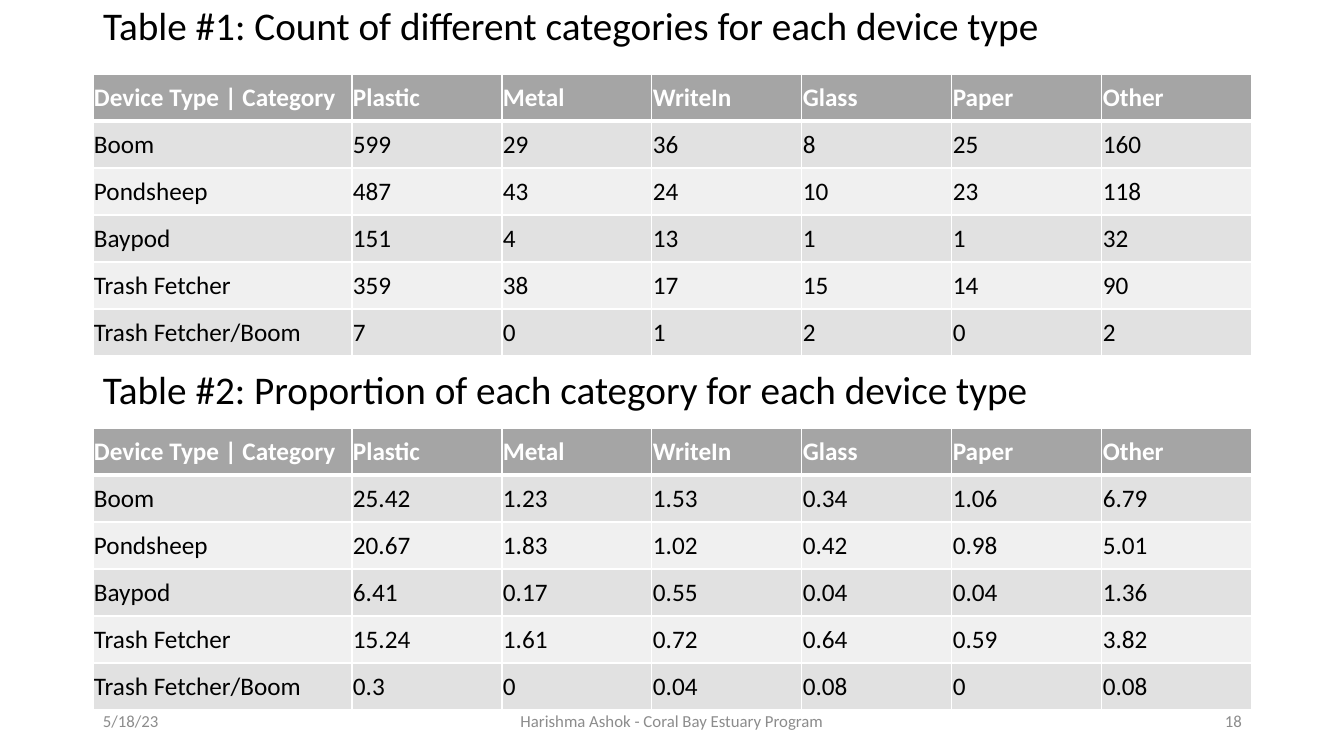
import pptx
import pptx.dml.color
import pptx.enum.text
import pptx.oxml
import pptx.oxml.ns
import pptx.util

SIZE = (1344, 756)
HEADS = ["Device Type | Category", "Plastic", "Metal", "WriteIn", "Glass", "Paper", "Other"]
KINDS = ["Boom", "Pondsheep", "Baypod", "Trash Fetcher", "Trash Fetcher/Boom"]
COUNTS = [
    [599, 29, 36, 8, 25, 160],
    [487, 43, 24, 10, 23, 118],
    [151, 4, 13, 1, 1, 32],
    [359, 38, 17, 15, 14, 90],
    [7, 0, 1, 2, 0, 2],
]
SHARES = [
    [25.42, 1.23, 1.53, 0.34, 1.06, 6.79],
    [20.67, 1.83, 1.02, 0.42, 0.98, 5.01],
    [6.41, 0.17, 0.55, 0.04, 0.04, 1.36],
    [15.24, 1.61, 0.72, 0.64, 0.59, 3.82],
    [0.3, 0, 0.04, 0.08, 0, 0.08],
]
TITLE = ("Table #1: Count of different categories for each device type", (93, 1, 1159, 53))
SECOND = ("Table #2: Proportion of each category for each device type", (93, 365, 1131, 53))
FOOTS = [
    ("5/18/23", (93, 701, 302, 40), "LEFT"),
    ("Harishma Ashok - Coral Bay Estuary Program", (445, 701, 454, 40), "CENTER"),
    ("18", (950, 701, 302, 40), "RIGHT"),
]
TABLES = [(74, COUNTS), (428, SHARES)]
LEFT, FIRST, WIDE, HIGH = 93, 259, 150, 47
SCALE = 914400 / 100.8


def px(n):
    return pptx.util.Emu(round(n * SCALE))


def color(code):
    return pptx.dml.color.RGBColor.from_string(code)


def write(frame, text, size=18, ink="000000", bold=False, side="LEFT", space=1.0):
    frame.word_wrap = True
    para = frame.paragraphs[0]
    para.alignment = getattr(pptx.enum.text.PP_ALIGN, side)
    para.line_spacing = space
    run = para.add_run()
    run.text = text
    font = run.font
    font.name, font.size, font.bold = "Calibri", pptx.util.Pt(size), bold
    font.color.rgb = color(ink)


def label(shape, text, box, **form):
    shape.left, shape.top, shape.width, shape.height = map(px, box)
    frame = shape.text_frame
    frame.auto_size = pptx.enum.text.MSO_AUTO_SIZE.NONE
    frame.vertical_anchor = pptx.enum.text.MSO_ANCHOR.MIDDLE
    write(frame, text, **form)


def border(cell, top, base):
    props = cell._tc.get_or_add_tcPr()
    for side, width in (("L", 1), ("R", 1), ("T", top), ("B", base)):
        props.append(pptx.oxml.parse_xml(
            f'<a:ln{side} {pptx.oxml.ns.nsdecls("a")} w="{width * 12700}"><a:solidFill>'
            f'<a:srgbClr val="FFFFFF"/></a:solidFill></a:ln{side}>'))


def grid(slide, top, data):
    rows = [HEADS] + [[kind] + nums for kind, nums in zip(KINDS, data)]
    widths = [FIRST] + [WIDE] * (len(HEADS) - 1)
    box = map(px, (LEFT, top, sum(widths), HIGH * len(rows)))
    table = slide.shapes.add_table(len(rows), len(HEADS), *box).table
    for col, width in zip(table.columns, widths):
        col.width = px(width)
    for i, row in enumerate(rows):
        table.rows[i].height = px(HIGH)
        head = i == 0
        fill = "A5A5A5" if head else ("F0F0F0", "E1E1E1")[i % 2]
        for j, value in enumerate(row):
            cell = table.cell(i, j)
            cell.margin_left = cell.margin_right = cell.margin_top = px(1)
            cell.margin_bottom = 0
            cell.vertical_anchor = pptx.enum.text.MSO_ANCHOR.MIDDLE
            border(cell, 3 if i == 1 else 1, 3 if head else 1)
            cell.fill.solid()
            cell.fill.fore_color.rgb = color(fill)
            write(cell.text_frame, str(value), ink="FFFFFF" if head else "000000", bold=head)


def main():
    deck = pptx.Presentation()
    deck.slide_width, deck.slide_height = map(px, SIZE)
    slide = deck.slides.add_slide(deck.slide_layouts[5])
    label(slide.shapes.title, *TITLE, size=28, space=0.9)
    for text, box, side in FOOTS:
        shape = slide.shapes.add_textbox(0, 0, 0, 0)
        label(shape, text, box, size=12, ink="8C8C8C", side=side)
    label(slide.shapes.add_textbox(0, 0, 0, 0), *SECOND, size=28, space=0.9)
    for top, data in TABLES:
        grid(slide, top, data)
    deck.save("out.pptx")


if __name__ == "__main__":
    main()
